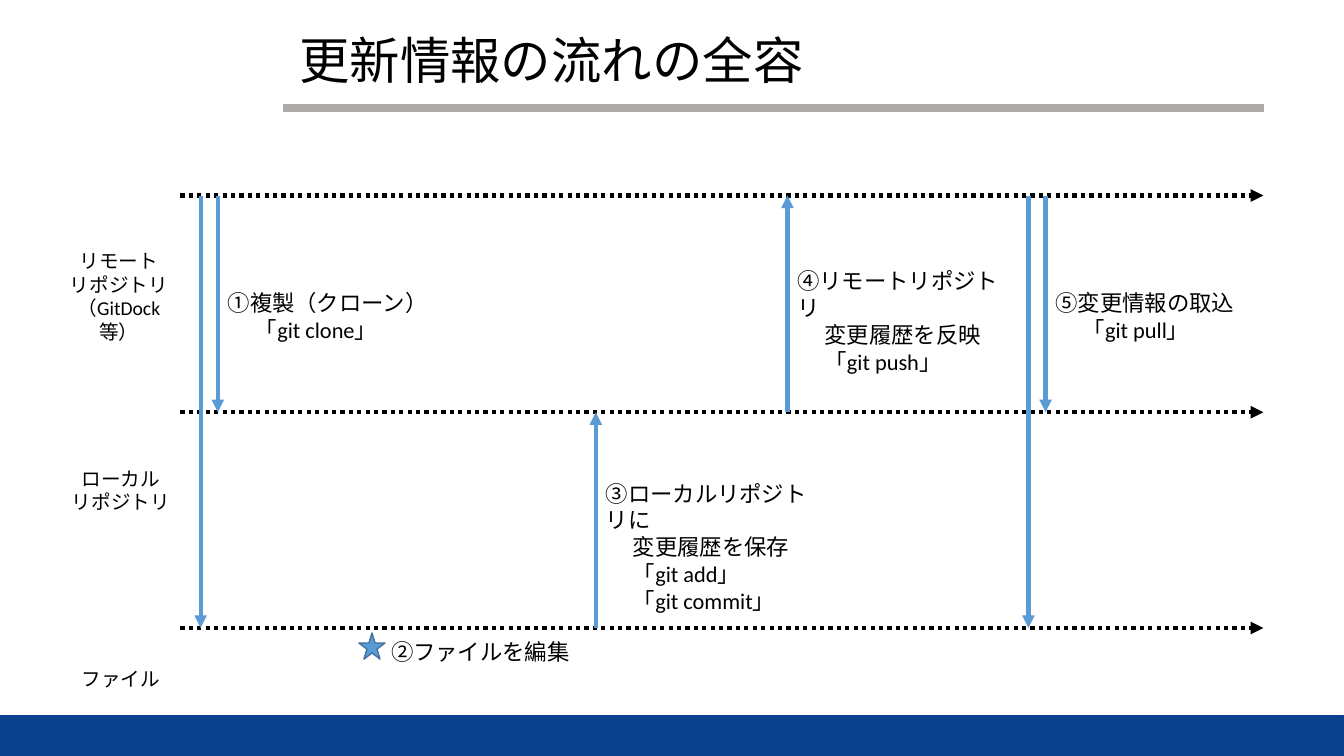
from lxml import etree
from pptx import Presentation
from pptx.dml.color import RGBColor
from pptx.enum.dml import MSO_LINE
from pptx.enum.shapes import MSO_CONNECTOR, MSO_SHAPE
from pptx.enum.text import MSO_ANCHOR, PP_ALIGN
from pptx.oxml.ns import qn
from pptx.util import Inches, Pt

STRAIGHT = MSO_CONNECTOR.STRAIGHT
DOTTED = MSO_LINE.ROUND_DOT
LEFT, CENTER = PP_ALIGN.LEFT, PP_ALIGN.CENTER
MIDDLE = MSO_ANCHOR.MIDDLE

COLORS = {name: RGBColor.from_string(value) for name, value in {
    "text": "000000",
    "rule": "AFABAB",
    "footer": "0B408D",
    "flow": "5B9BD5",
    "star_edge": "43739E",
}.items()}
FONT = "Calibri"
COMMAND_INDENT = Inches(0.27)

prs = Presentation()
prs.slide_width, prs.slide_height = Inches(13.33), Inches(7.5)
slide = prs.slides.add_slide(prs.slide_layouts[6])
shapes = slide.shapes


def add_line(x1, y1, x2, y2, color, width=3, dash=None, arrow=True):
    line = shapes.add_connector(
        STRAIGHT, Inches(x1), Inches(y1), Inches(x2), Inches(y2))
    line.line.color.rgb = COLORS[color]
    line.line.width = Pt(width)
    if dash:
        line.line.dash_style = dash
    if arrow:
        outline = line.line._get_or_add_ln()
        etree.SubElement(outline, qn("a:tailEnd"), type="triangle")
    etree.SubElement(line._element.spPr, qn("a:effectLst"))


def add_text(x, y, width, height, lines, size, align=LEFT, indent=0):
    """Add one paragraph per line; indent applies after the first."""
    frame = shapes.add_textbox(
        Inches(x), Inches(y), Inches(width), Inches(height)).text_frame
    frame.word_wrap = True
    frame.text = "\n".join(lines)
    for number, paragraph in enumerate(frame.paragraphs):
        if number and indent:
            properties = paragraph._p.get_or_add_pPr()
            properties.set("marL", str(indent))
            properties.set("indent", "0")
        paragraph.alignment = align
        paragraph.font.name = FONT
        paragraph.font.size = Pt(size)
        paragraph.font.color.rgb = COLORS["text"]
    return frame


# Title and footer
add_line(2.81, 1.07, 12.54, 1.07, "rule", width=6, arrow=False)
footer = shapes.add_shape(
    MSO_SHAPE.RECTANGLE, 0, Inches(7.1), prs.slide_width, Inches(0.4))
footer.shadow.inherit = False
footer.fill.solid()
footer.fill.fore_color.rgb = COLORS["footer"]
footer.line.color.rgb = COLORS["footer"]
footer.line.width = Pt(0.75)

title = add_text(2.87, 0.18, 9.61, 0.89, ["更新情報の流れの全容"], 36)
title.vertical_anchor = MIDDLE
title.paragraphs[0].line_spacing = 0.9

# Timelines
REMOTE, LOCAL, FILE = 1.94, 4.09, 6.23
for level in (REMOTE, LOCAL, FILE):
    add_line(1.79, level, 12.53, level, "text", dash=DOTTED)

for x, y, height, lines in [
    (0.51, 2.42, 0.81, ["リモート", "リポジトリ", "（GitDock等）"]),
    (0.53, 4.58, 0.57, ["ローカル", "リポジトリ"]),
    (0.53, 6.57, 0.34, ["ファイル"]),
]:
    add_text(x, y, 1.34, height, lines, 14, CENTER)

# Update flows
for x, start, end in [
    (2.16, REMOTE, LOCAL),
    (1.99, REMOTE, FILE),
    (5.91, FILE, LOCAL),
    (7.81, LOCAL, REMOTE),
    (10.37, REMOTE, LOCAL),
    (10.2, REMOTE, FILE),
]:
    add_line(x, start, x, end, "flow")

star = shapes.add_shape(
    MSO_SHAPE.STAR_5_POINT, Inches(3.56), Inches(6.28), Inches(0.26), Inches(0.26))
star.shadow.inherit = False
star.fill.solid()
star.fill.fore_color.rgb = COLORS["flow"]
star.line.color.rgb = COLORS["star_edge"]
star.line.width = Pt(1)

for x, y, width, height, lines in [
    (2.16, 2.82, 2.22, 0.64, ["①複製（クローン）", "「git clone」"]),
    (3.78, 6.28, 1.99, 0.37, ["②ファイルを編集"]),
    (5.91, 4.71, 2.37, 1.18,
     ["③ローカルリポジトリに", "変更履歴を保存", "「git add」", "「git commit」"]),
    (7.81, 2.6, 2.21, 0.91,
     ["④リモートリポジトリ", "変更履歴を反映", "「git push」"]),
    (10.37, 2.82, 2.22, 0.64, ["⑤変更情報の取込", "「git pull」"]),
]:
    add_text(x, y, width, height, lines, 16, indent=COMMAND_INDENT)

prs.save("out.pptx")
